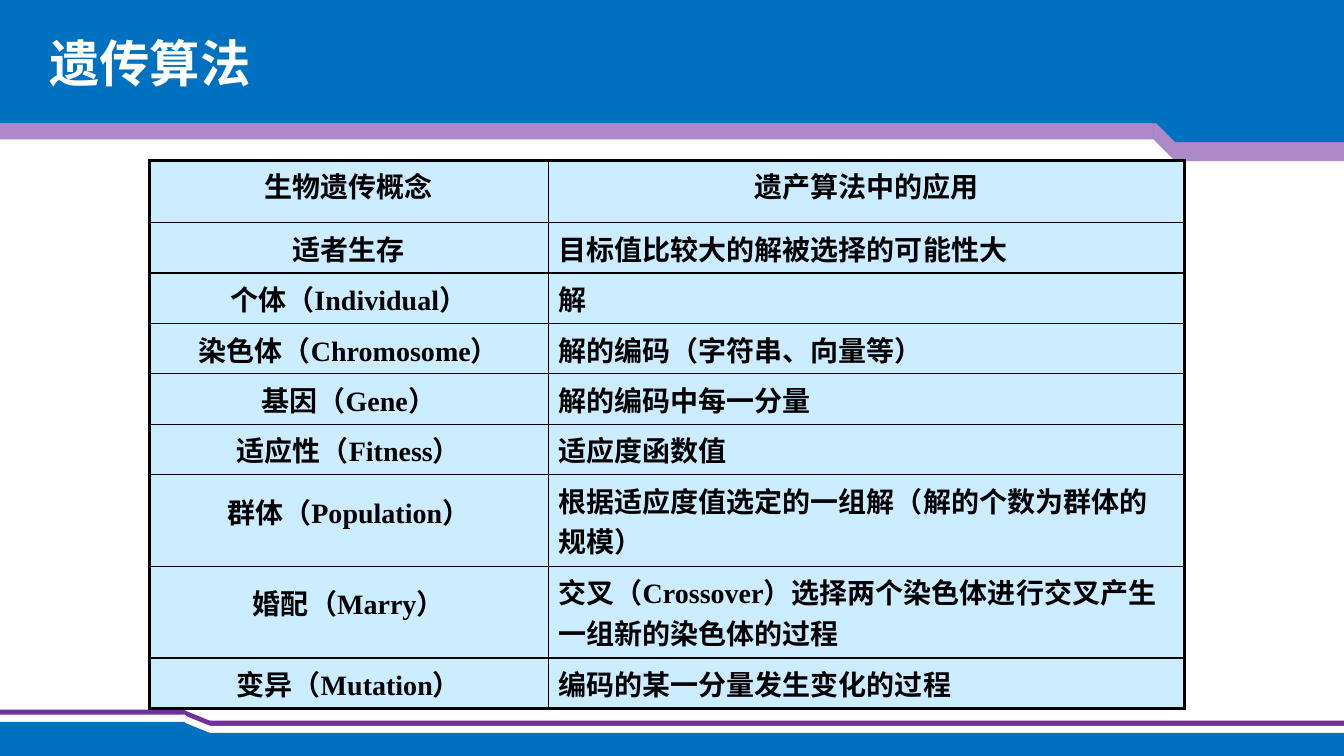
from lxml import etree
from pptx import Presentation
from pptx.dml.color import RGBColor
from pptx.enum.shapes import MSO_SHAPE
from pptx.enum.text import MSO_AUTO_SIZE, PP_ALIGN
from pptx.oxml.ns import qn
from pptx.util import Cm, Pt

RECT = MSO_SHAPE.RECTANGLE
SNIP = MSO_SHAPE.SNIP_1_RECTANGLE
TRIANGLE = MSO_SHAPE.RIGHT_TRIANGLE
CENTER, LEFT = PP_ALIGN.CENTER, PP_ALIGN.LEFT
FIT = MSO_AUTO_SIZE.SHAPE_TO_FIT_TEXT

COLORS = {
    "blue": "0070C0",
    "purple": "7030A0",
    "white": "FFFFFF",
    "black": "000000",
    "cell": "CCECFF",
}
CJK_FONT = "Noto Sans CJK SC"
LATIN_FONT = "Times New Roman"
THIN, THICK = 1, 2.25
COL_WIDTHS = [10.06, 16.03]
ROWS = [
    ("生物遗传概念", "遗产算法中的应用", 1.57),
    ("适者生存", "目标值比较大的解被选择的可能性大", 1.27),
    ("个体（Individual）", "解", 1.27),
    ("染色体（Chromosome）", "解的编码（字符串、向量等）", 1.27),
    ("基因（Gene）", "解的编码中每一分量", 1.27),
    ("适应性（Fitness）", "适应度函数值", 1.27),
    ("群体（Population）", "根据适应度值选定的一组解（解的个数为群体的规模）", 2.31),
    ("婚配（Marry）", "交叉（Crossover）选择两个染色体进行交叉产生一组新的染色体的过程", 2.31),
    ("变异（Mutation）", "编码的某一分量发生变化的过程", 1.27),
]


def rgb(name):
    return RGBColor.from_string(COLORS[name])


def add_block(slide, kind, box, color, rotation=0, alpha=None):
    sp = slide.shapes.add_shape(kind, *[Cm(v) for v in box])
    sp.shadow.inherit = False
    sp.rotation = rotation
    sp.fill.solid()
    sp.fill.fore_color.rgb = rgb(color)
    sp.line.fill.background()
    if alpha:
        clr = sp.fill._xPr.find(qn("a:solidFill"))[0]
        etree.SubElement(clr, qn("a:alpha")).set("val", str(alpha * 1000))


def add_footer_band(slide, left, top, color):
    add_block(slide, SNIP, (left, top, 4.83, 0.81), color)
    add_block(slide, RECT, (left, top + 0.28, 33.96, 0.59), color)
    add_block(slide, TRIANGLE, (4.6, top, 1.57, 0.64), color)


def add_header(slide):
    add_block(slide, SNIP, (29.06, 0.71, 4.83, 3.35), "purple", 180, 57)
    add_block(slide, RECT, (-0.08, 0.36, 29.14, 3.15), "purple", 180, 57)
    add_block(slide, SNIP, (29.06, 0.23, 4.83, 3.35), "blue", 180)
    add_block(slide, RECT, (-0.1, -0.05, 34, 3.15), "blue", 180)
    add_block(slide, TRIANGLE, (27.69, 0.94, 1.9, 2.51), "blue", 180)


def add_text(p, text, size, color, font):
    r = p.add_run()
    r.text = text
    r.font.size = Pt(size)
    r.font.bold = True
    r.font.name = font
    r.font.color.rgb = rgb(color)
    etree.SubElement(r.font._element, qn("a:ea")).set("typeface", CJK_FONT)


def add_title(slide, text):
    sp = slide.shapes.add_textbox(Cm(0.99), Cm(0.69), Cm(21.18), Cm(1.78))
    tf = sp.text_frame
    tf.word_wrap = True
    tf.auto_size = FIT
    add_text(tf.paragraphs[0], text, 36, "white", CJK_FONT)


def set_border(cell, side, width):
    ln = etree.SubElement(cell._tc.get_or_add_tcPr(), qn(f"a:ln{side}"))
    ln.set("w", str(Pt(width)))
    fill = etree.SubElement(ln, qn("a:solidFill"))
    etree.SubElement(fill, qn("a:srgbClr")).set("val", COLORS["black"])


def add_concept_table(slide):
    heights = [height for _, _, height in ROWS]
    frame = slide.shapes.add_table(
        len(ROWS), len(COL_WIDTHS), Cm(3.76), Cm(4.04),
        Cm(sum(COL_WIDTHS)), Cm(sum(heights)))
    table = frame.table
    table.first_row = table.horz_banding = False
    for col, width in zip(table.columns, COL_WIDTHS):
        col.width = Cm(width)
    last_row, last_col = len(ROWS) - 1, len(COL_WIDTHS) - 1
    for i, (concept, usage, height) in enumerate(ROWS):
        table.rows[i].height = Cm(height)
        for j, text in enumerate((concept, usage)):
            cell = table.cell(i, j)
            outer = {"L": j == 0, "R": j == last_col,
                     "T": i == 0, "B": i == last_row}
            for side, is_outer in outer.items():
                set_border(cell, side, THICK if is_outer else THIN)
            cell.fill.solid()
            cell.fill.fore_color.rgb = rgb("cell")
            if j == 0 and height > 2:
                cell.margin_top = Cm(0.4)
            p = cell.text_frame.paragraphs[0]
            p.alignment = CENTER if i == 0 or j == 0 else LEFT
            add_text(p, text, 20, "black", LATIN_FONT)


def main():
    prs = Presentation()
    prs.slide_width, prs.slide_height = Cm(33.87), Cm(19.05)
    slide = prs.slides.add_slide(prs.slide_layouts[6])
    add_footer_band(slide, -0.05, 17.88, "purple")
    add_footer_band(slide, -0.03, 18.01, "white")
    add_footer_band(slide, -0.05, 18.19, "blue")
    add_header(slide)
    add_title(slide, "遗传算法")
    add_concept_table(slide)
    prs.save("out.pptx")


if __name__ == "__main__":
    main()
